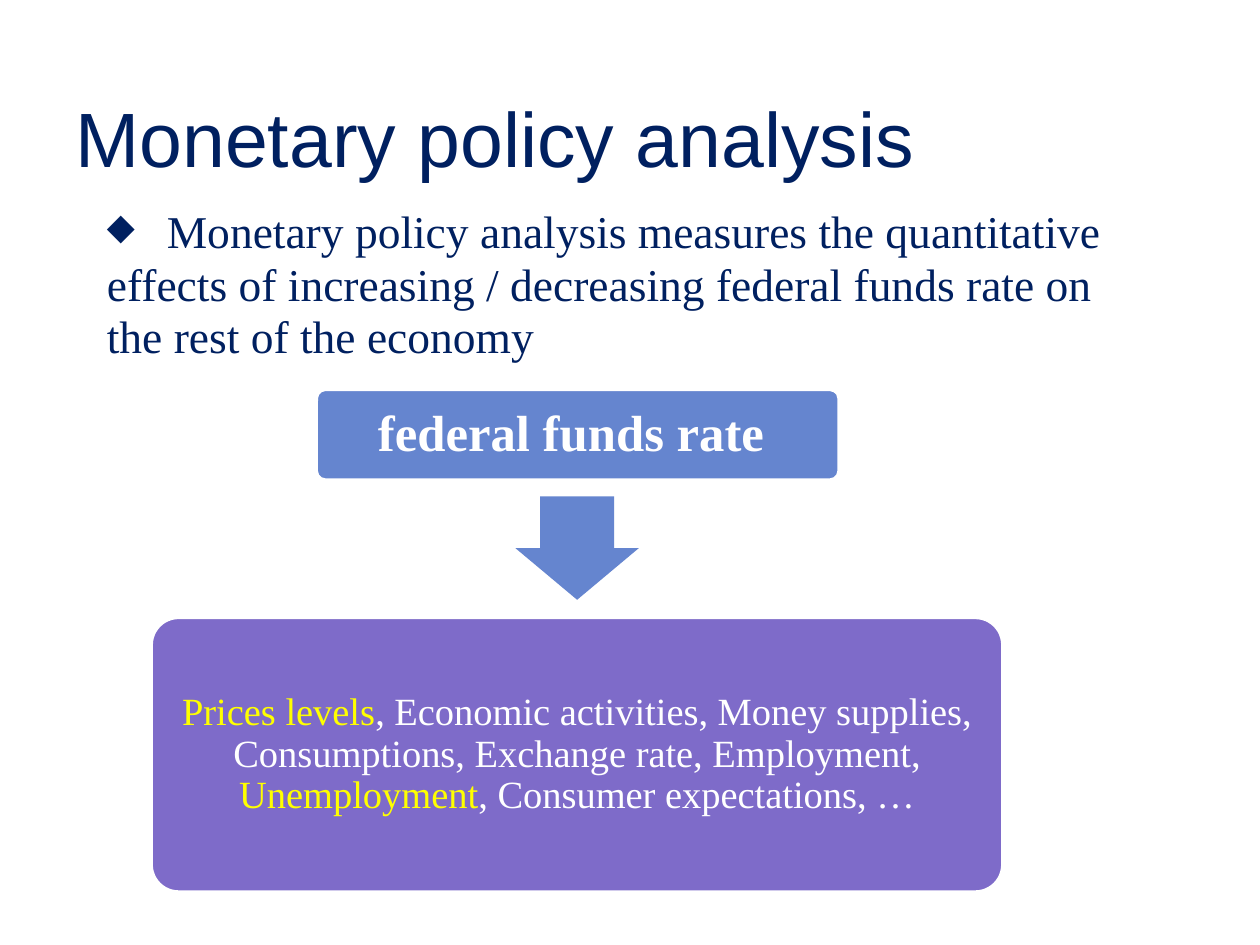
from lxml import etree
from pptx import Presentation
from pptx.dml.color import RGBColor
from pptx.enum.shapes import MSO_SHAPE
from pptx.enum.text import MSO_ANCHOR, PP_ALIGN
from pptx.oxml.ns import qn
from pptx.util import Pt

ROUND, ARROW = MSO_SHAPE.ROUNDED_RECTANGLE, MSO_SHAPE.RIGHT_ARROW
TOP, MIDDLE, BOTTOM = MSO_ANCHOR.TOP, MSO_ANCHOR.MIDDLE, MSO_ANCHOR.BOTTOM
LEFT, CENTER = PP_ALIGN.LEFT, PP_ALIGN.CENTER

THEME = {
    "navy": "002060", "blue": "6585CF", "purple": "7E6BC9",
    "white": "FFFFFF", "yellow": "FFFF00",
    "title": 44, "body": 26, "cause": 29, "effects": 22,
    "head_font": "Arial", "body_font": "Times New Roman",
}


def rgb(name):
    return RGBColor.from_string(THEME[name])


def write(sp, runs, size, font="body_font", bold=False, align=LEFT,
          anchor=TOP, spacing=None, margins=(7.2, 3.6)):
    tf = sp.text_frame
    tf.word_wrap = True
    tf.vertical_anchor = anchor
    tf.margin_left = tf.margin_right = Pt(margins[0])
    tf.margin_top = tf.margin_bottom = Pt(margins[1])
    p = tf.paragraphs[0]
    p.alignment = align
    p.line_spacing = spacing
    for text, color in runs:
        r = p.add_run()
        r.text = text
        r.font.name = THEME[font]
        r.font.size = Pt(THEME[size])
        r.font.bold = bold
        r.font.color.rgb = rgb(color)
    return p


prs = Presentation()
prs.slide_width, prs.slide_height = Pt(720), Pt(540)
s = prs.slides.add_slide(prs.slide_layouts[6])

title = s.shapes.add_textbox(Pt(36), Pt(41.76), Pt(583.2), Pt(66.24))
write(title, [("Monetary policy analysis", "navy")], "title",
      font="head_font", anchor=BOTTOM)

body = s.shapes.add_textbox(Pt(48.24), Pt(113.76), Pt(606.96), Pt(376.56))
p = write(body, [("\tMonetary policy analysis measures the quantitative effects of "
                  "increasing / decreasing federal funds rate on the rest of the economy",
                  "navy")], "body", spacing=Pt(30))
p.space_before, p.space_after = Pt(6), Pt(12)
pPr = p._p.get_or_add_pPr()
pPr.set("marL", str(Pt(5.76)))
pPr.set("indent", "0")
color = etree.SubElement(pPr, qn("a:buClr"))
etree.SubElement(color, qn("a:srgbClr"), val=THEME["navy"])
etree.SubElement(pPr, qn("a:buSzPct"), val="80000")
etree.SubElement(pPr, qn("a:buChar"), char="◆")
tabs = etree.SubElement(pPr, qn("a:tabLst"))
etree.SubElement(tabs, qn("a:tab"), pos=str(Pt(40)), algn="l")

diagram = [
    (ROUND, 180.72, 222.48, 298.8, 51.84, "blue", [0.1]),
    (ARROW, 300.24, 277.92, 59.04, 70.56, "blue", [0.6, 0.5]),
    (ROUND, 86.4, 352.8, 486.72, 156.96, "purple", [0.1]),
]
shapes = []
for kind, x, y, w, h, fill, adjustments in diagram:
    sp = s.shapes.add_shape(kind, Pt(x), Pt(y), Pt(w), Pt(h))
    sp.shadow.inherit = False
    sp.fill.solid()
    sp.fill.fore_color.rgb = rgb(fill)
    for i, value in enumerate(adjustments):
        sp.adjustments[i] = value
    if kind == ROUND:
        sp.line.color.rgb = rgb("white")
        sp.line.width = Pt(2)
    else:
        sp.line.fill.background()
    shapes.append(sp)

cause, arrow, effects = shapes
arrow.rotation = 90
write(cause, [("federal funds rate ", "white")], "cause", bold=True,
      align=CENTER, anchor=MIDDLE, spacing=0.9, margins=(8.64, 8.64))
write(effects, [
    ("Prices levels", "yellow"),
    (", Economic activities, Money supplies, Consumptions, Exchange rate, Employment, ", "white"),
    ("Unemployment", "yellow"),
    (", Consumer expectations, …", "white"),
], "effects", align=CENTER, anchor=MIDDLE, spacing=0.9, margins=(6.48, 6.48))

prs.save("out.pptx")
